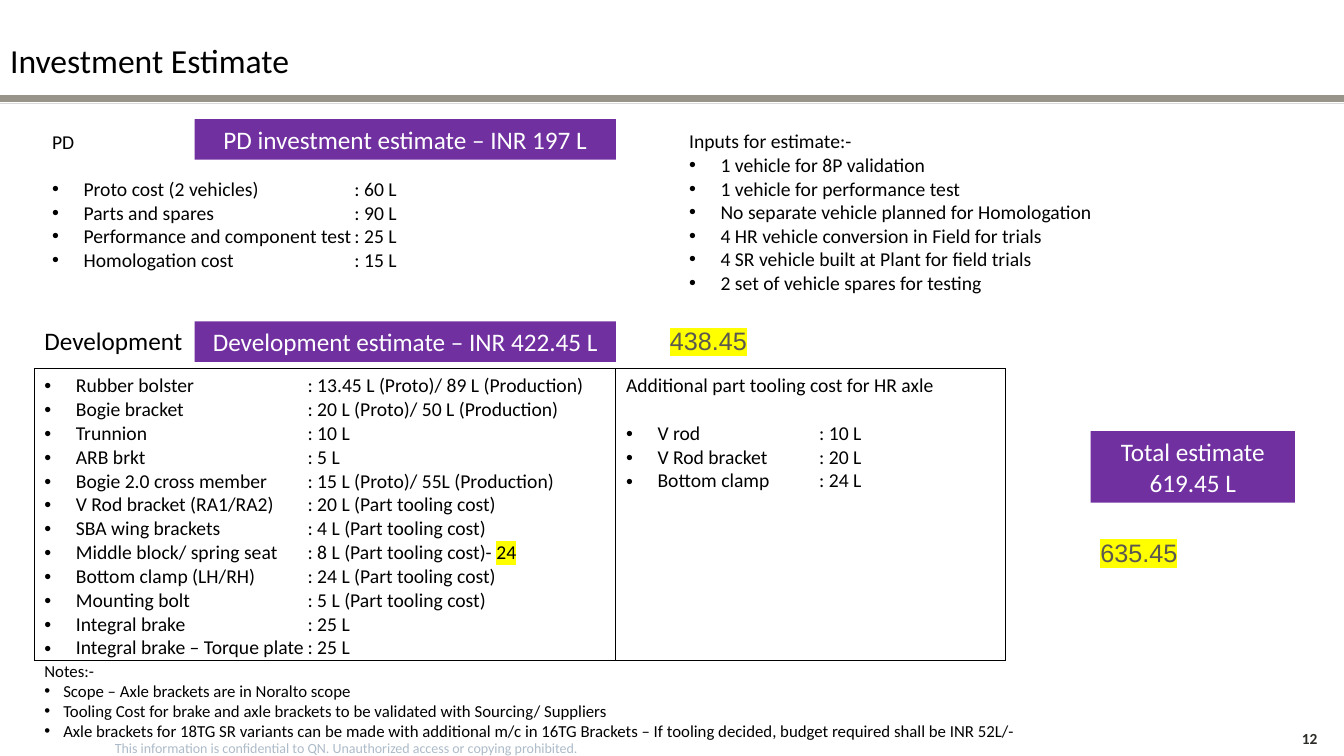
import lxml.etree
import pptx
import pptx.dml.color
import pptx.enum.shapes
import pptx.enum.text
import pptx.oxml.ns
import pptx.util

Pt = pptx.util.Pt
qn = pptx.oxml.ns.qn
ALIGN = pptx.enum.text.PP_ALIGN
ANCHOR = pptx.enum.text.MSO_ANCHOR

COLORS = {
    "text": "000000", "white": "FFFFFF", "banner": "7030A0", "marker": "FFFF00",
    "revised": "5B5850", "thick rule": "98948A", "thin rule": "D9D9D9",
    "footer": "ADBBC9", "number": "2E2C28",
}


def rgb(name):
    return pptx.dml.color.RGBColor.from_string(COLORS[name])


def write(frame, lines, size, color="text", font="Calibri", align=ALIGN.LEFT, bold=False,
          plain=1, indent=22.5, tab=None, gap=0, marked=False):
    """Fill a frame: the first `plain` lines have no bullet, `gap` opens the list,
    `tab` is the column of the amounts, and text after "==" (or all) is highlighted."""
    frame.word_wrap = True
    for index, line in enumerate(lines):
        paragraph = frame.paragraphs[0] if index == 0 else frame.add_paragraph()
        spacing = {"alignment": align, "space_after": Pt(0),
                   "space_before": Pt(gap if index == plain else 0)}
        for name, value in spacing.items():
            setattr(paragraph, name, value)

        bulleted = index >= plain
        properties = paragraph._p.get_or_add_pPr()
        properties.set("marL", str(Pt(indent if bulleted else 0)))
        properties.set("indent", str(Pt(-indent if bulleted else 0)))
        if bulleted:
            lxml.etree.SubElement(properties, qn("a:buFont"), typeface="Arial")
            lxml.etree.SubElement(properties, qn("a:buChar"), char="•")
        else:
            lxml.etree.SubElement(properties, qn("a:buNone"))
        if tab and bulleted:
            tabs = lxml.etree.SubElement(properties, qn("a:tabLst"))
            lxml.etree.SubElement(tabs, qn("a:tab"), pos=str(Pt(tab)), algn="l")

        for part, text in enumerate(line.split("==")):
            run = paragraph.add_run()
            run.text = text
            for name, value in {"name": font, "size": Pt(size), "bold": bold}.items():
                setattr(run.font, name, value)
            run.font.color.rgb = rgb(color)
            if marked or part:
                highlight = lxml.etree.Element(qn("a:highlight"))
                lxml.etree.SubElement(highlight, qn("a:srgbClr"), val=COLORS["marker"])
                run._r.rPr.find(qn("a:latin")).addprevious(highlight)


presentation = pptx.Presentation()
presentation.slide_width, presentation.slide_height = Pt(960), Pt(540)
slide = presentation.slides.add_slide(presentation.slide_layouts[4])  # Comparison

# Rules under the title
for y, color, width in [(74, "thin rule", 0.75), (70.5, "thick rule", 5)]:
    rule = slide.shapes.add_connector(
        pptx.enum.shapes.MSO_CONNECTOR.STRAIGHT, Pt(0), Pt(y), Pt(960), Pt(y))
    rule.line.color.rgb = rgb(color)
    rule.line.width = Pt(width)
    lxml.etree.SubElement(rule._element.spPr, qn("a:effectLst"))

# Title and lists: placeholder index, box, lines, text format
inputs = [
    "Inputs for estimate:-",
    "1 vehicle for 8P validation",
    "1 vehicle for performance test",
    "No separate vehicle planned for Homologation",
    "4 HR vehicle conversion in Field for trials",
    "4 SR vehicle built at Plant for field trials",
    "2 set of vehicle spares for testing",
]
pd_costs = [
    "PD",
    "Proto cost (2 vehicles)\t: 60 L",
    "Parts and spares\t: 90 L",
    "Performance and component test\t: 25 L",
    "Homologation cost\t: 15 L",
]
notes = [
    "Notes:-",
    "Scope – Axle brackets are in Noralto scope",
    "Tooling Cost for brake and axle brackets to be validated with Sourcing/ Suppliers",
    "Axle brackets for 18TG SR variants can be made with additional m/c in 16TG Brackets"
    " – If tooling decided, budget required shall be INR 52L/-",
]
placeholders = [
    (0, (0, 25, 400, 36), ["Investment Estimate"], {"size": 24}),
    (1, (24.5, 229, 114.5, 29), ["Development"], {"size": 18}),
    (2, (30, 89, 403, 109), pd_costs, {"size": 14, "tab": 216, "gap": 17}),
    (3, (24.5, 468, 826.5, 60), notes, {"size": 12, "indent": 13.5}),
    (4, (485, 72, 315, 143), inputs, {"size": 14}),
]
for index, box, lines, text_format in placeholders:
    placeholder = slide.placeholders[index]
    placeholder.left, placeholder.top, placeholder.width, placeholder.height = map(Pt, box)
    frame = placeholder.text_frame
    frame.auto_size = pptx.enum.text.MSO_AUTO_SIZE.NONE
    frame.vertical_anchor = ANCHOR.TOP
    write(frame, lines, **text_format)
slide.placeholders[4].text_frame.paragraphs[0].line_spacing = 2.0

# Banners
banners = [
    ((139, 85, 301, 29), ["PD investment estimate – INR 197 L"]),
    ((139, 229.5, 301, 29), ["Development estimate – INR 422.45 L"]),
    ((779, 308, 146, 51), ["Total estimate", "619.45 L"]),
]
for box, lines in banners:
    banner = slide.shapes.add_shape(
        pptx.enum.shapes.MSO_SHAPE.RECTANGLE, *map(Pt, box))
    banner.shadow.inherit = False
    banner.fill.solid()
    banner.fill.fore_color.rgb = rgb("banner")
    banner.line.fill.background()
    banner.text_frame.vertical_anchor = ANCHOR.MIDDLE
    write(banner.text_frame, lines, 18, "white", align=ALIGN.CENTER, plain=len(lines))

# Development cost table
development_costs = [
    "Rubber bolster\t: 13.45 L (Proto)/ 89 L (Production)",
    "Bogie bracket\t: 20 L (Proto)/ 50 L (Production)",
    "Trunnion\t: 10 L",
    "ARB brkt\t: 5 L",
    "Bogie 2.0 cross member\t: 15 L (Proto)/ 55L (Production)",
    "V Rod bracket (RA1/RA2)\t: 20 L (Part tooling cost)",
    "SBA wing brackets\t: 4 L (Part tooling cost)",
    "Middle block/ spring seat\t: 8 L (Part tooling cost)- ==24",
    "Bottom clamp (LH/RH)\t: 24 L (Part tooling cost)",
    "Mounting bolt\t: 5 L (Part tooling cost)",
    "Integral brake\t: 25 L",
    "Integral brake – Torque plate\t: 25 L",
]
axle_costs = [
    "Additional part tooling cost for HR axle",
    "V rod\t: 10 L",
    "V Rod bracket\t: 20 L",
    "Bottom clamp\t: 24 L",
]
table = slide.shapes.add_table(1, 2, Pt(24.5), Pt(263.5), Pt(694), Pt(208)).table
table.first_row = table.horz_banding = False
columns = [
    (415.5, development_costs, {"plain": 0, "tab": 188}),
    (278.5, axle_costs, {"tab": 138, "gap": 17}),
]
for index, (width, lines, text_format) in enumerate(columns):
    table.columns[index].width = Pt(width)
    cell = table.cell(0, index)
    cell.margin_bottom = 0
    write(cell.text_frame, lines, 14, **text_format)
    properties = cell._tc.get_or_add_tcPr()
    for side in ("lnL", "lnR", "lnT", "lnB"):
        border = lxml.etree.SubElement(properties, qn(f"a:{side}"), w=str(Pt(0.75)))
        fill = lxml.etree.SubElement(border, qn("a:solidFill"))
        lxml.etree.SubElement(fill, qn("a:srgbClr"), val=COLORS["text"])
    cell.fill.background()

# Revised totals, footer and slide number
revised = {"size": 18, "color": "revised", "font": "Arial", "marked": True}
labels = [
    ((471.5, 229, 124.5, 29), "438.45", revised),
    ((779, 380, 124.5, 29), "635.45", revised),
    ((82, 528, 600, 12),
     "This information is confidential to QN. Unauthorized access or copying prohibited.",
     {"size": 10, "color": "footer"}),
    ((913, 517.5, 45, 22), "12",
     {"size": 11, "color": "number", "bold": True, "align": ALIGN.CENTER}),
]
for box, text, text_format in labels:
    label = slide.shapes.add_textbox(*map(Pt, box))
    write(label.text_frame, [text], **text_format)
    if text_format["color"] == "footer":
        for side in ("left", "top", "right", "bottom"):
            setattr(label.text_frame, f"margin_{side}", 0)

presentation.save("out.pptx")
